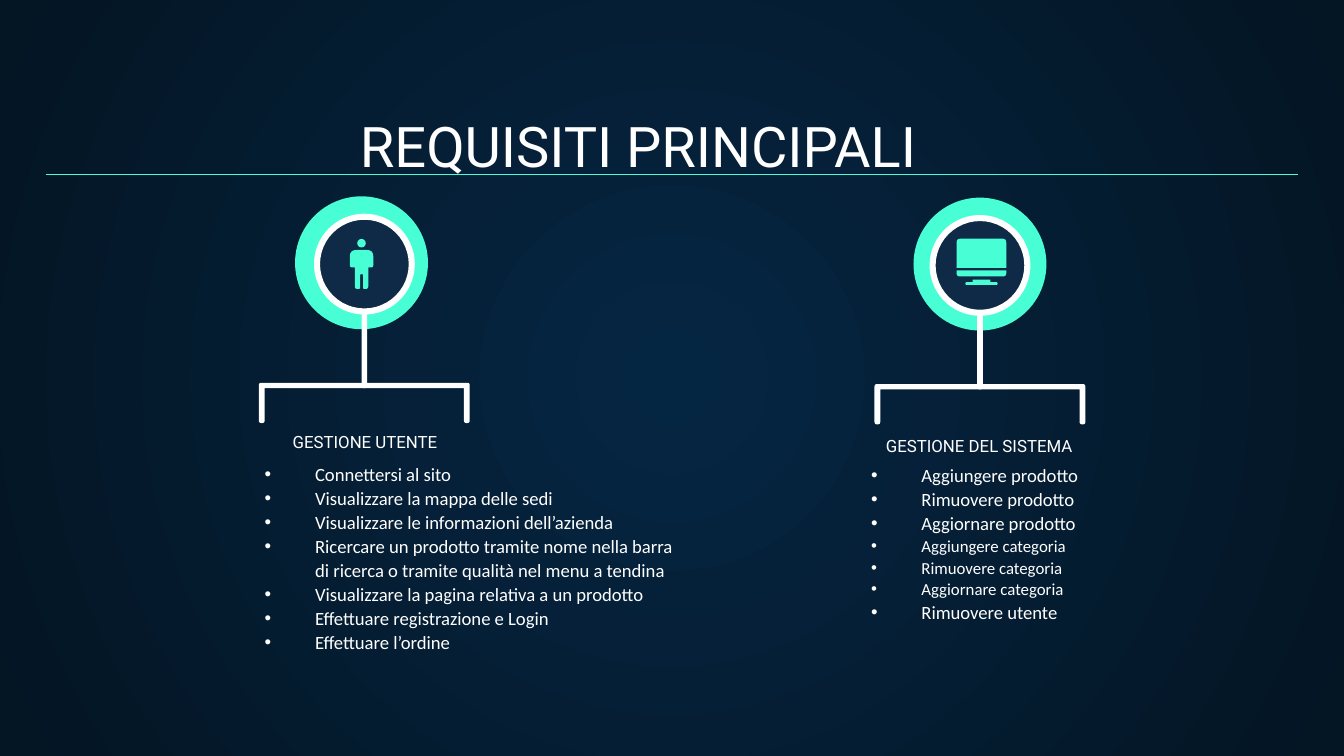
from lxml.etree import SubElement
from pptx import Presentation
from pptx.dml.color import RGBColor
from pptx.enum.shapes import MSO_CONNECTOR, MSO_SHAPE
from pptx.enum.text import MSO_ANCHOR, MSO_AUTO_SIZE, PP_ALIGN
from pptx.oxml.ns import qn
from pptx.util import Pt

MINT, WHITE, NAVY = "48FFD5", "FFFFFF", "0E2A47"
FRAME = dict(word_wrap=True, auto_size=MSO_AUTO_SIZE.NONE, margin_left=Pt(7.2),
             margin_right=Pt(7.2), margin_top=Pt(7.2), margin_bottom=Pt(7.2))
HEAD = dict(alignment=PP_ALIGN.CENTER, line_spacing=1.0, space_before=Pt(0))
ITEM = dict(alignment=PP_ALIGN.LEFT, line_spacing=1.07, space_before=Pt(0), space_after=Pt(0))

BRACKET = [(56.5, 0, 1.4), (56.5, 21.6, 1.4), (53.4, 21.6, 1.4), (53.4, 2.9, 0)]
STEM = [(1.5, 0, 1.5), (1.5, 72, 1.5)]
BODY = [(6.3, 0, 3.6), (6.3, 9.4, 1.4), (3.6, 9.4, 0),
        (3.6, 20.9, 1.4), (0.8, 20.9, 0.8), (0.8, 13, 0.7)]
SCREEN = [(13.3, 0, 2), (13.3, 15.6, 0)]
BAR = [(13.3, 0, 0), (13.3, 3.2, 2)]
FOOT = [(4.7, 0, 0), (4.7, 1.4, 0), (8.6, 1.4, 0.7), (8.6, 2.9, 0.7)]


def tint(code):
    return RGBColor.from_string(code)


def apply(thing, values):
    for name, value in values.items():
        setattr(thing, name, value)


def soften(points):
    result = []
    for i, (x, y, r) in enumerate(points):
        if not r:
            result.append((x, y))
            continue
        ends = []
        for u, v, _ in (points[i - 1], points[(i + 1) % len(points)]):
            span = abs(u - x) + abs(v - y)
            part = min(r / span, 0.5)
            ends.append((x + (u - x) * part, y + (v - y) * part))
        (a, b), (c, d) = ends
        for t in (0, 0.25, 0.5, 0.75, 1):
            p, q, s = (1 - t) ** 2, 2 * t * (1 - t), t * t
            result.append((p * a + q * x + s * c, p * b + q * y + s * d))
    return result


class Page:
    def __init__(self, deck):
        self.slide = deck.slides.add_slide(deck.slide_layouts[4])
        self.shapes = self.slide.shapes
        self.holders = {h.placeholder_format.idx: h for h in self.slide.placeholders}

    def backdrop(self, inner, outer):
        fill = self.slide.background.fill
        fill.gradient()
        for stop, code in zip(fill.gradient_stops, (inner, outer)):
            stop.color.rgb = tint(code)
        grad = self.slide.element.find(".//" + qn("a:gradFill"))
        grad.remove(grad.find(qn("a:lin")))
        glow = SubElement(grad, qn("a:path"), {"path": "circle"})
        SubElement(glow, qn("a:fillToRect"), dict.fromkeys("ltrb", "50000"))

    def place(self, key, box, anchor):
        holder = self.holders[key]
        apply(holder, dict(zip(("left", "top", "width", "height"), map(Pt, box))))
        frame = holder.text_frame
        apply(frame, dict(FRAME, vertical_anchor=anchor))
        return frame

    def label(self, para, text, layout, font, size):
        run = para.add_run()
        run.text = text
        apply(para, layout)
        apply(run.font, dict(name=font, size=Pt(size), bold=False))
        run.font.color.rgb = tint(WHITE)

    def title(self, key, text, box, size):
        frame = self.place(key, box, MSO_ANCHOR.BOTTOM)
        self.label(frame.paragraphs[0], text, HEAD, "Roboto", size)

    def bullets(self, key, items, box, small=()):
        frame = self.place(key, box, MSO_ANCHOR.TOP)
        for i, text in enumerate(items):
            para = frame.add_paragraph() if i else frame.paragraphs[0]
            self.label(para, text, ITEM, "Calibri", 9 if i in small else 10)
            props = para._p.get_or_add_pPr()
            props.set("marL", str(Pt(27)))
            props.set("indent", str(Pt(-27)))
            SubElement(props, qn("a:buChar"), char="•")
        para.space_after = Pt(8)

    def paint(self, shape, code):
        shape.shadow.inherit = False
        shape.fill.solid()
        shape.fill.fore_color.rgb = tint(code)
        shape.line.fill.background()
        return shape

    def disc(self, x, y, radius, code, kind=MSO_SHAPE.OVAL):
        shape = self.shapes.add_shape(kind, Pt(x - radius), Pt(y - radius),
                                      Pt(2 * radius), Pt(2 * radius))
        return self.paint(shape, code)

    def mirror(self, x, y, half, code):
        full = half + [(-u, v, r) for u, v, r in reversed(half)]
        points = [(Pt(x + u), Pt(y + v)) for u, v in soften(full)]
        pen = self.shapes.build_freeform(*points[0])
        pen.add_line_segments(points[1:])
        return self.paint(pen.convert_to_shape(), code)

    def rule(self, left, right, y):
        line = self.shapes.add_connector(MSO_CONNECTOR.STRAIGHT, Pt(left), Pt(y), Pt(right), Pt(y))
        line.line.color.rgb = tint(MINT)
        line.line.width = Pt(0.75)
        SubElement(line._element.spPr, qn("a:effectLst"))

    def badge(self, x, y, shift):
        self.disc(x + shift, y - 0.7, 35.6, MINT)
        self.mirror(x, y + 63.6, BRACKET, WHITE)
        self.mirror(x, y - 5.5, STEM, WHITE)
        self.disc(x, y, 25.2, NAVY)
        ring = self.disc(x, y, 27, WHITE, MSO_SHAPE.DONUT)
        ring.adjustments[0] = 0.06

    def group(self, *parts):
        self.shapes.add_group_shape(parts)


def main():
    deck = Presentation()
    apply(deck, dict(slide_width=Pt(720), slide_height=Pt(405)))
    page = Page(deck)
    page.backdrop("052643", "041523")
    page.title(0, "REQUISITI PRINCIPALI", (6.5, 55.4, 671, 47.5), 30)
    page.bullets(2, [
        "Connettersi al sito",
        "Visualizzare la mappa delle sedi",
        "Visualizzare le informazioni dell’azienda",
        "Ricercare un prodotto tramite nome nella barra "
        "di ricerca o tramite qualità nel menu a tendina",
        "Visualizzare la pagina relativa a un prodotto",
        "Effettuare registrazione e Login",
        "Effettuare l’ordine",
    ], (134.6, 239.8, 240.5, 47.5))
    page.bullets(4, [
        "Aggiungere prodotto", "Rimuovere prodotto", "Aggiornare prodotto",
        "Aggiungere categoria", "Rimuovere categoria", "Aggiornare categoria",
        "Rimuovere utente",
    ], (459.4, 240.5, 163.4, 101.5), small=(3, 4, 5))
    page.title(1, "GESTIONE UTENTE", (113.8, 234, 163.4, 15.1), 9)
    page.title(3, "GESTIONE DEL SISTEMA", (442.8, 236.2, 163.4, 15.1), 9)

    page.badge(195.2, 141.5, -1.5)
    page.badge(525, 142.2, 0)
    page.rule(24.5, 695.5, 93.6)
    page.group(page.disc(193.7, 130.3, 2.3, MINT), page.mirror(193.7, 133.9, BODY, MINT))
    page.group(*(page.mirror(525.8, y, half, MINT)
                 for y, half in ((149.8, FOOT), (144.9, BAR), (127.9, SCREEN))))
    deck.save("out.pptx")


if __name__ == "__main__":
    main()
